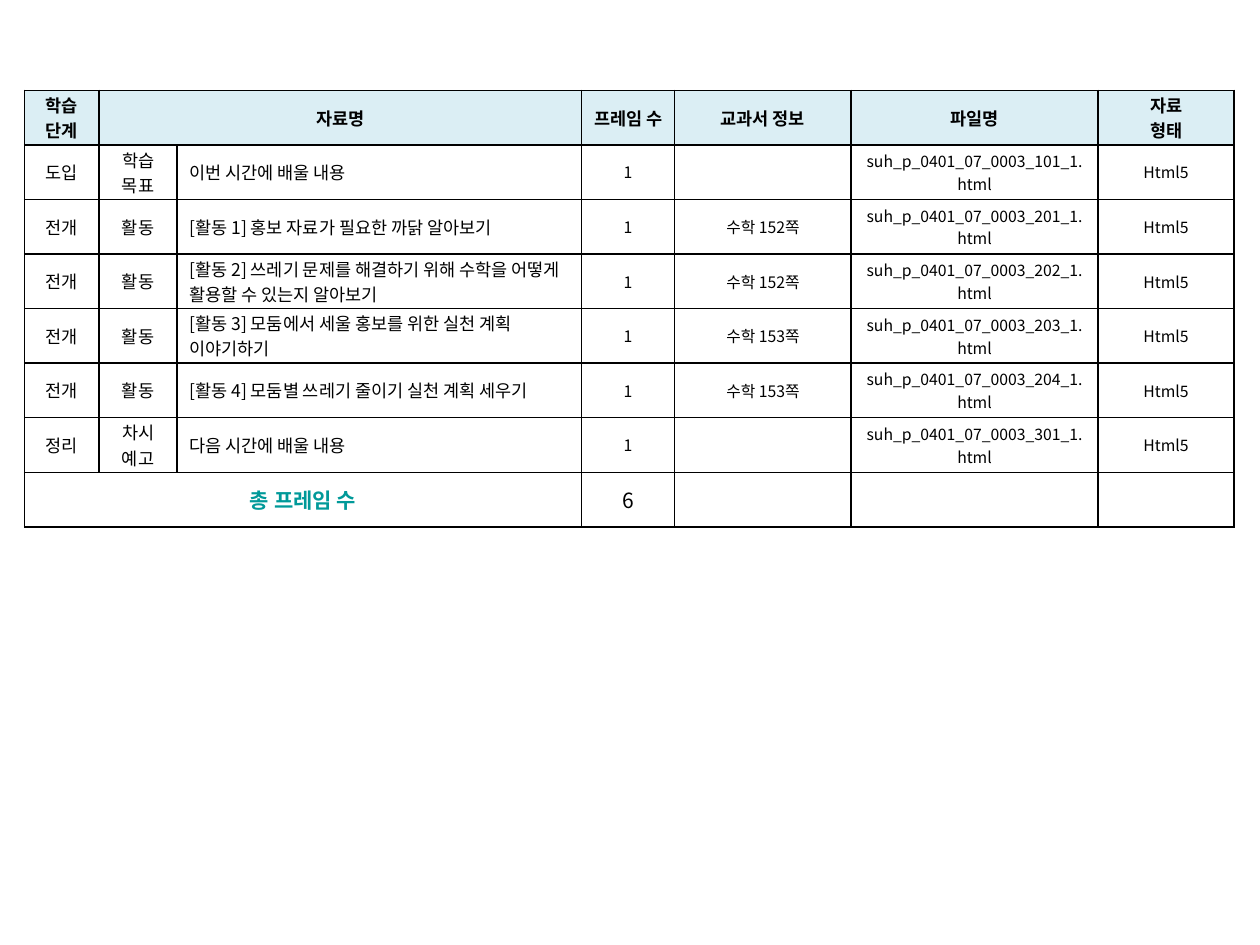
from dataclasses import dataclass

from lxml import etree
from pptx import Presentation
from pptx.dml.color import RGBColor
from pptx.enum import text
from pptx.oxml import ns
from pptx.util import Pt


@dataclass(frozen=True)
class Theme:
    font: str = "Noto Sans CJK KR"
    ink: str = "000000"
    accent: str = "009999"
    header_fill: str = "DBEEF4"
    body_size: float = 10
    detail_size: float = 9
    total_size: float = 12
    border: float = 1


THEME = Theme()
COLUMNS = [42.5, 44.6, 231.1, 53.3, 100.8, 141.1, 77.8]
ROW_HEIGHT = 31.2
NAME_COLUMN = 2
HEADER = ["학습 단계", "자료명", "", "프레임 수", "교과서 정보", "파일명", "자료\n형태"]
LESSONS = [
    ("도입", "학습 목표", "이번 시간에 배울 내용", "", 101),
    ("전개", "활동", "[활동 1] 홍보 자료가 필요한 까닭 알아보기", "수학 152쪽", 201),
    ("전개", "활동", "[활동 2] 쓰레기 문제를 해결하기 위해 수학을 어떻게 활용할 수 있는지 알아보기", "수학 152쪽", 202),
    ("전개", "활동", "[활동 3] 모둠에서 세울 홍보를 위한 실천 계획 이야기하기", "수학 153쪽", 203),
    ("전개", "활동", "[활동 4] 모둠별 쓰레기 줄이기 실천 계획 세우기", "수학 153쪽", 204),
    ("정리", "차시 예고", "다음 시간에 배울 내용", "", 301),
]
TOTAL = ["총 프레임 수", "", "", str(len(LESSONS)), "", "", ""]


def apply_format(target, values):
    for name, value in values.items():
        setattr(target, name, value)


def draw_borders(cell):
    properties = cell._tc.get_or_add_tcPr()
    for side in ("a:lnL", "a:lnR", "a:lnT", "a:lnB"):
        line = etree.SubElement(properties, ns.qn(side), w=str(Pt(THEME.border)))
        fill = etree.SubElement(line, ns.qn("a:solidFill"))
        etree.SubElement(fill, ns.qn("a:srgbClr"), val=THEME.ink)


def fill_cell(cell, words, size, bold=False, color=THEME.ink, fill=None, align="CENTER"):
    draw_borders(cell)
    apply_format(cell, {
        "text": words,
        "vertical_anchor": text.MSO_ANCHOR.MIDDLE,
        "margin_left": Pt(7.2),
        "margin_right": Pt(7.2),
        "margin_top": Pt(1),
        "margin_bottom": Pt(1),
    })
    if fill:
        cell.fill.solid()
        cell.fill.fore_color.rgb = RGBColor.from_string(fill)
    else:
        cell.fill.background()
    for para in cell.text_frame.paragraphs:
        para.alignment = text.PP_ALIGN[align]
        for span in para.runs:
            apply_format(span.font, {"name": THEME.font, "size": Pt(size), "bold": bold})
            span.font.color.rgb = RGBColor.from_string(color)
            latin = span.font._element.find(ns.qn("a:latin"))
            latin.addnext(latin.makeelement(ns.qn("a:ea"), {"typeface": THEME.font}))


def lesson_row(stage, kind, name, textbook, number):
    return [stage, kind, name, "1", textbook, f"suh_p_0401_07_0003_{number}_1.html", "Html5"]


def add_lesson_table(page, left, top):
    rows = [HEADER, *(lesson_row(*lesson) for lesson in LESSONS), TOTAL]
    last = len(rows) - 1
    table = page.shapes.add_table(
        len(rows), len(COLUMNS), Pt(left), Pt(top),
        Pt(sum(COLUMNS)), Pt(ROW_HEIGHT * len(rows)),
    ).table
    apply_format(table, {"first_row": False, "horz_banding": False})
    for column, width in zip(table.columns, COLUMNS):
        column.width = Pt(width)
    for row in table.rows:
        row.height = Pt(ROW_HEIGHT)
    for r, row in enumerate(rows):
        for c, words in enumerate(row):
            if r == 0:
                style = {"size": THEME.body_size, "bold": True, "fill": THEME.header_fill}
            elif r == last:
                style = {"size": THEME.total_size}
                if c == 0:
                    style.update(bold=True, color=THEME.accent)
            else:
                style = {
                    "size": THEME.body_size if c <= NAME_COLUMN else THEME.detail_size,
                    "align": "LEFT" if c == NAME_COLUMN else "CENTER",
                }
            fill_cell(table.cell(r, c), words, **style)
    table.cell(0, 1).merge(table.cell(0, NAME_COLUMN))
    table.cell(last, 0).merge(table.cell(last, NAME_COLUMN))


def main():
    deck = Presentation()
    apply_format(deck, {"slide_width": Pt(720), "slide_height": Pt(540)})
    page = deck.slides.add_slide(deck.slide_layouts[6])
    add_lesson_table(page, 14.1, 51.6)
    deck.save("out.pptx")


if __name__ == "__main__":
    main()
